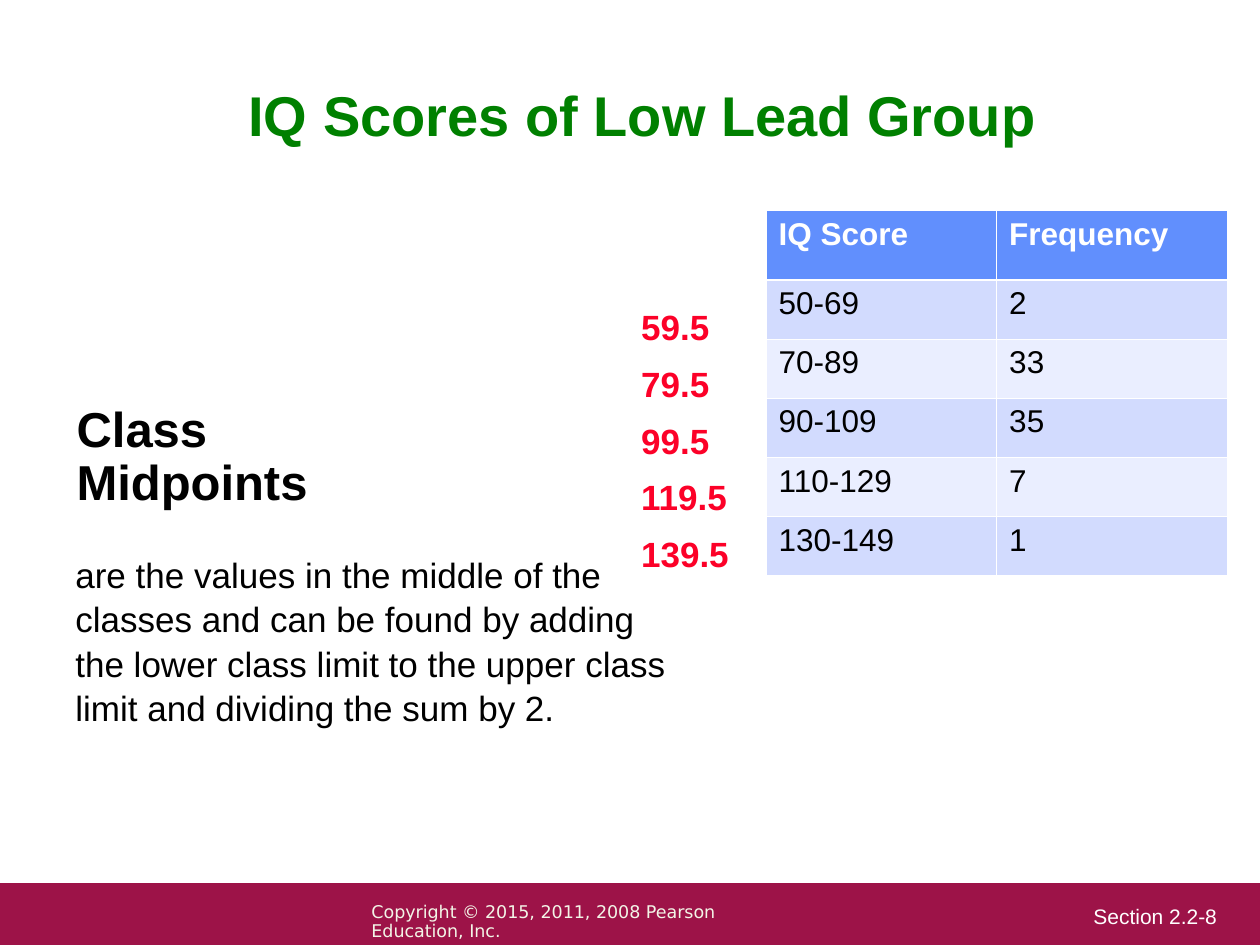
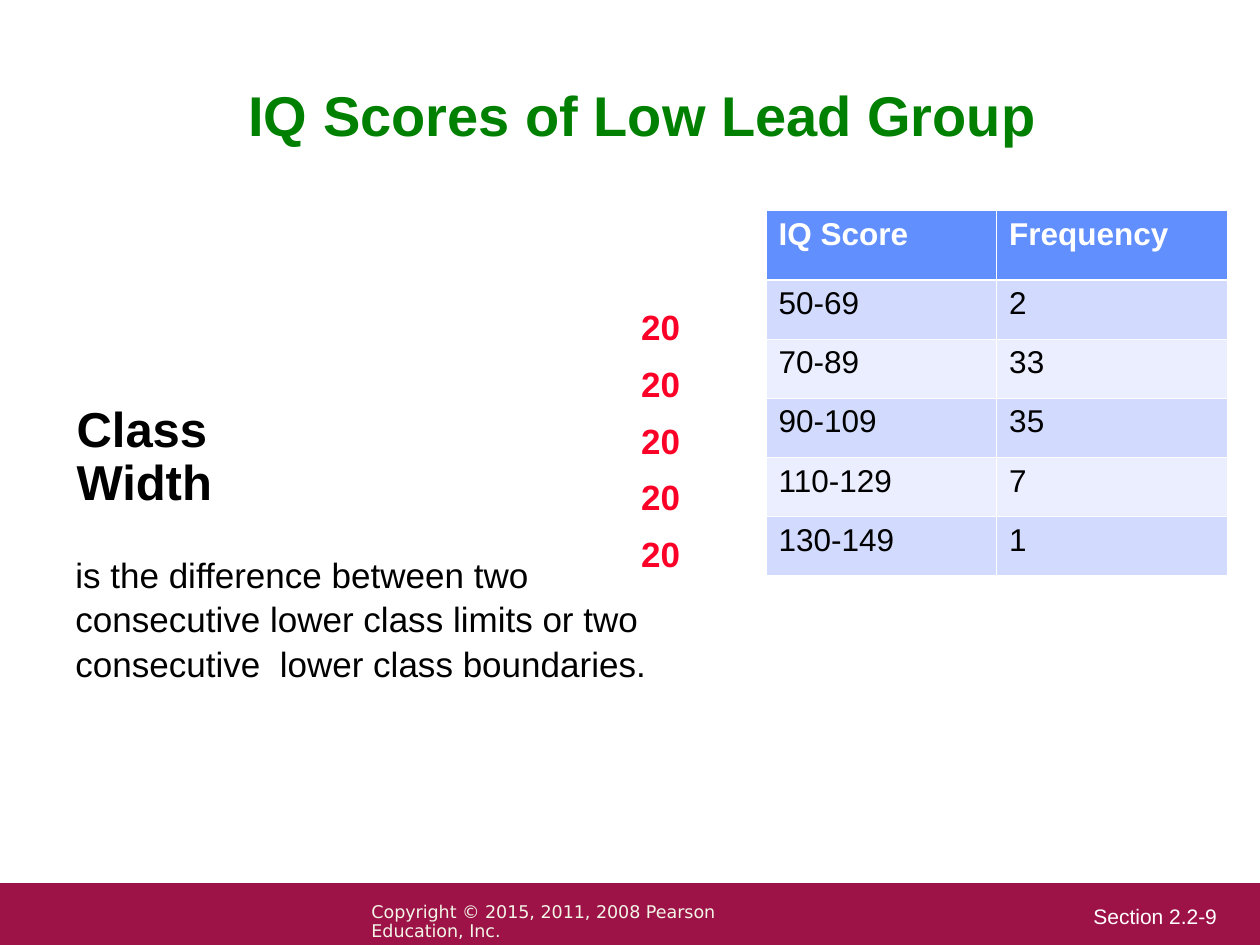
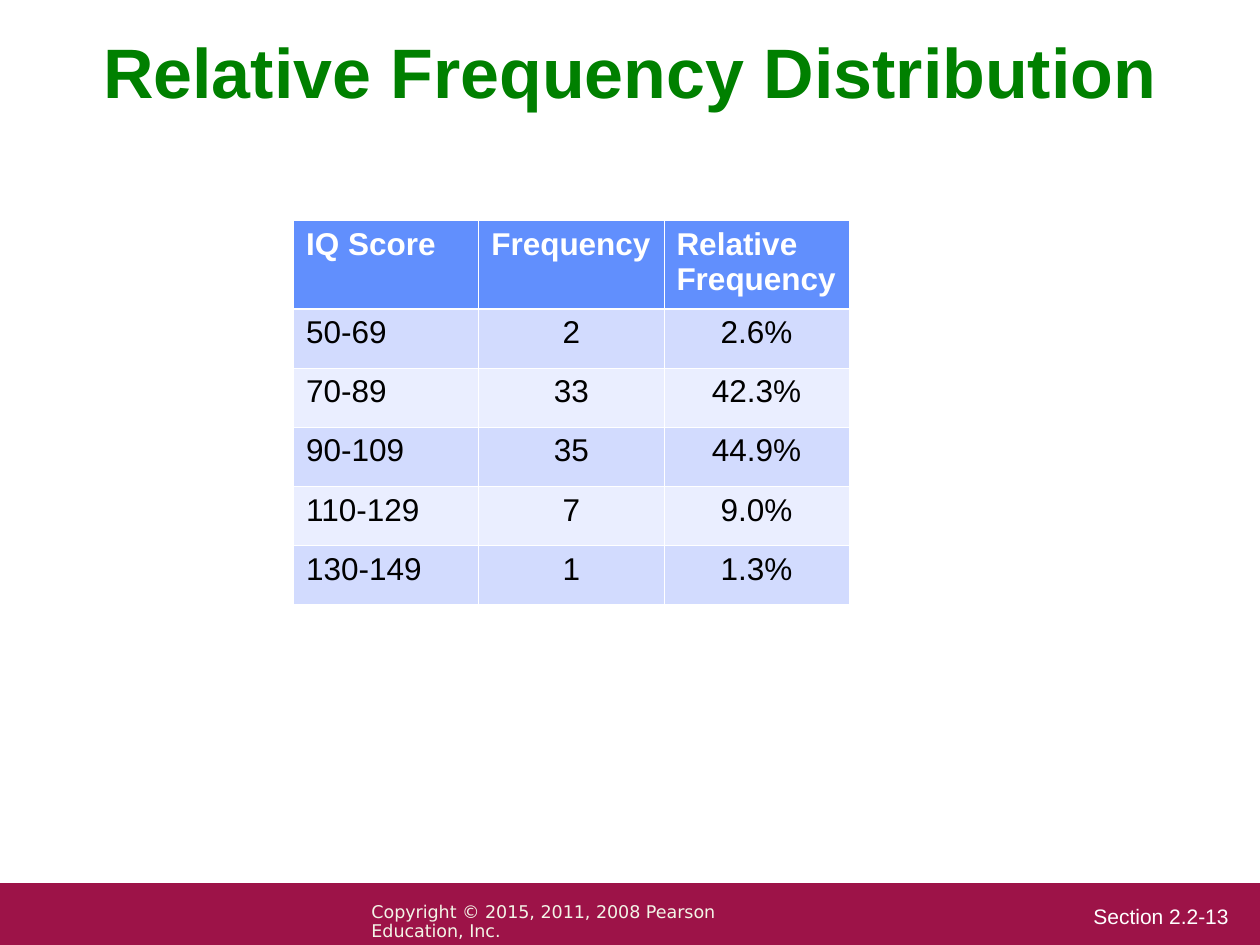
import pptx
import pptx.dml.color
import pptx.enum.shapes
import pptx.enum.text
import pptx.oxml
import pptx.oxml.ns
import pptx.util

Inches = pptx.util.Inches
Pt = pptx.util.Pt
ALIGN = pptx.enum.text.PP_ALIGN
ANCHOR = pptx.enum.text.MSO_ANCHOR

GREEN = "008000"
RED = "FC0128"
BLACK = "000000"
WHITE = "FFFFFF"
BAND = "9D1348"
CREAM = "F3F5E7"
HEADER = "618FFD"
STRIPES = ("D2DBFE", "EAEEFF")
ROW_H = 0.47

SCORES = ["50-69", "70-89", "90-109", "110-129", "130-149"]
FREQUENCIES = ["2", "33", "35", "7", "1"]
PERCENTS = ["2.6%", "42.3%", "44.9%", "9.0%", "1.3%"]


def rgb(color):
    return pptx.dml.color.RGBColor.from_string(color)


def set_font(p, size, color, bold=False, name="Arial"):
    p.font.name = name
    p.font.size = Pt(size)
    p.font.bold = bold
    p.font.color.rgb = rgb(color)


def add_text(s, box, lines, size, color, bold=False, name="Arial", spacing=0.9,
             align=ALIGN.LEFT, anchor=ANCHOR.TOP, wrap=True):
    tf = s.shapes.add_textbox(*map(Inches, box)).text_frame
    tf.word_wrap = wrap
    tf.vertical_anchor = anchor
    for i, line in enumerate(lines):
        p = tf.paragraphs[0] if i == 0 else tf.add_paragraph()
        p.text = line
        p.alignment = align
        p.line_spacing = Pt(round(size * 1.2 * spacing, 1))
        set_font(p, size, color, bold, name)


def set_borders(cell, widths):
    tcPr = cell._tc.get_or_add_tcPr()
    for i, (side, width) in enumerate(widths.items()):
        ln = pptx.oxml.parse_xml(
            f'<a:{side} {pptx.oxml.ns.nsdecls("a")} w="{Pt(width)}"><a:solidFill>'
            f'<a:srgbClr val="{WHITE}"/></a:solidFill></a:{side}>')
        tcPr.insert(i, ln)


def add_score_table(s, left, top, col_w, header_h, headings, columns,
                    value_align=ALIGN.LEFT):
    rows = [headings, *zip(*columns)]
    height = header_h + ROW_H * (len(rows) - 1)
    table = s.shapes.add_table(
        len(rows), len(headings), Inches(left), Inches(top),
        Inches(col_w * len(headings)), Inches(height)).table
    for column in table.columns:
        column.width = Inches(col_w)
    for r, values in enumerate(rows):
        table.rows[r].height = Inches(header_h if r == 0 else ROW_H)
        for c, value in enumerate(values):
            cell = table.cell(r, c)
            cell.fill.solid()
            cell.fill.fore_color.rgb = rgb(HEADER if r == 0 else STRIPES[(r - 1) % 2])
            p = cell.text_frame.paragraphs[0]
            p.text = value
            p.alignment = value_align if r and c else ALIGN.LEFT
            set_font(p, 18, BLACK if r else WHITE, bold=r == 0)
            set_borders(cell, {"lnL": 0.45, "lnR": 0.45,
                               "lnT": 1.47 if r == 1 else 0.45,
                               "lnB": 1.47 if r == 0 else 0.45})


def add_footer(s, number, top=7.01):
    band = s.shapes.add_shape(pptx.enum.shapes.MSO_SHAPE.RECTANGLE,
                              0, Inches(top), Inches(10), Inches(0.5))
    band.shadow.inherit = False
    band.fill.solid()
    band.fill.fore_color.rgb = rgb(BAND)
    band.line.fill.background()
    add_text(s, (8.58, top + 0.13, 1.4, 0.26), [f"Section 2.2-{number}"], 12, WHITE)
    add_text(s, (2.85, top + 0.11, 3.6, 0.25),
             ["Copyright © 2015, 2011, 2008 Pearson Education, Inc."],
             10, CREAM, name="DejaVu Sans")


def new_slide(prs, number):
    s = prs.slides.add_slide(prs.slide_layouts[6])
    add_footer(s, number)
    return s


def add_definition_slide(prs, number, term, term_w, definition, definition_h, values):
    s = new_slide(prs, number)
    add_score_table(s, 6.08, 1.67, 1.83, 0.55, ["IQ Score", "Frequency"],
                    [SCORES, FREQUENCIES])
    add_text(s, (0.4, 0.23, 9.4, 1.4), ["IQ Scores of Low Lead Group"], 32, GREEN,
             bold=True, align=ALIGN.CENTER, anchor=ANCHOR.MIDDLE)
    add_text(s, (0.51, 3.16, term_w, 0.94), term, 28, BLACK, bold=True, wrap=False)
    add_text(s, (0.5, 4.33, 5, definition_h), [definition], 20, BLACK, spacing=1.05)
    add_text(s, (4.99, 2.26, 1.26, 2.35), values, 20, RED, bold=True, spacing=1.35)


def add_distribution_slide(prs, number):
    s = new_slide(prs, number)
    add_text(s, (0.72, 0.24, 8.56, 0.7), ["Relative Frequency Distribution"], 40, GREEN,
             bold=True, wrap=False)
    add_score_table(s, 2.33, 1.75, 1.47, 0.7,
                    ["IQ Score", "Frequency", "Relative Frequency"],
                    [SCORES, FREQUENCIES, PERCENTS], ALIGN.CENTER)


def main():
    prs = pptx.Presentation()
    prs.slide_width = Inches(10)
    prs.slide_height = Inches(7.5)
    add_definition_slide(
        prs, 8, ["Class", "Midpoints"], 2.03,
        "are the values in the middle of the classes and can be found by adding "
        "the lower class limit to the upper class limit and dividing the sum by 2.",
        1.5, ["59.5", "79.5", "99.5", "119.5", "139.5"])
    add_definition_slide(
        prs, 9, ["Class", "Width"], 1.34,
        "is the difference between two consecutive lower class limits or two "
        "consecutive  lower class boundaries.",
        1.15, ["20"] * len(SCORES))
    add_distribution_slide(prs, 13)
    prs.save("out.pptx")


if __name__ == "__main__":
    main()
